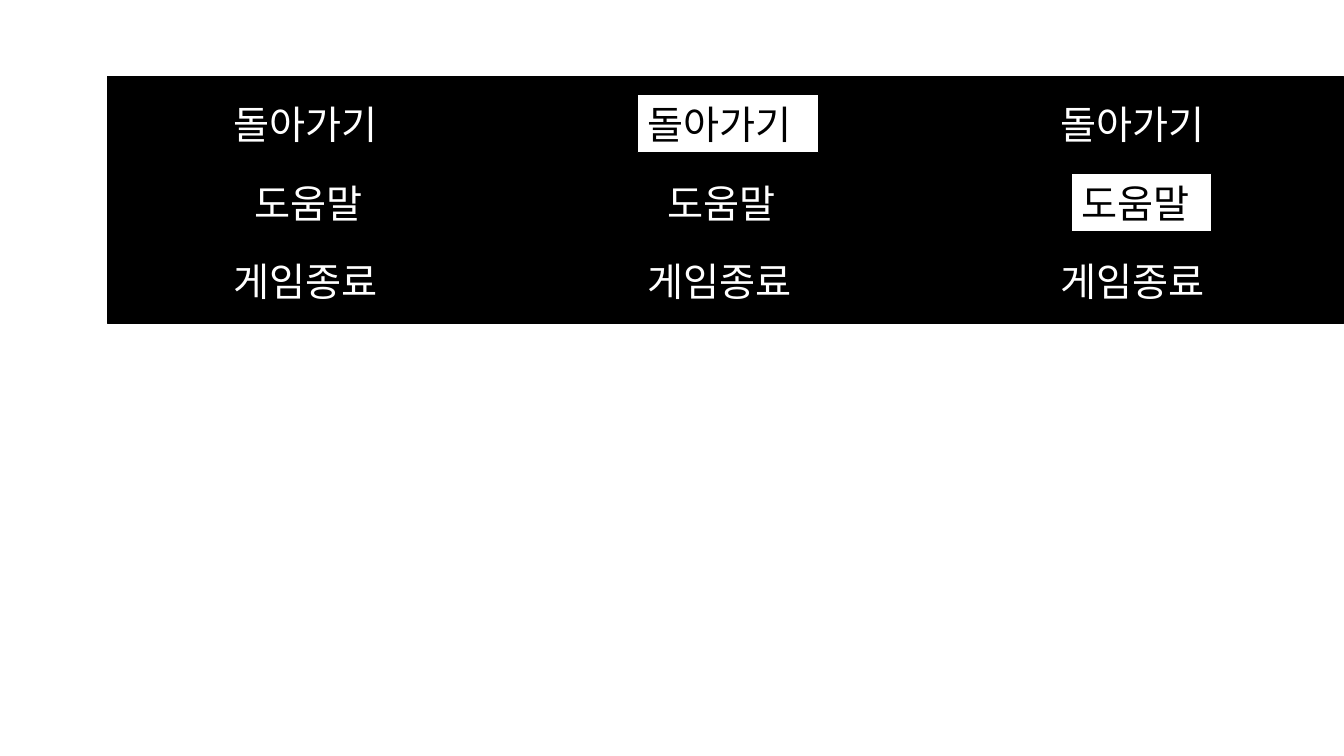
from lxml.etree import SubElement
from pptx import Presentation
from pptx.dml.color import RGBColor
from pptx.enum.shapes import MSO_SHAPE
from pptx.enum.text import MSO_ANCHOR, PP_ALIGN
from pptx.oxml.ns import qn
from pptx.util import Pt

FONT = "Noto Sans CJK KR"
BLACK, WHITE = "000000", "FFFFFF"
PANEL_LEFT, PANEL_TOP, PANEL_PITCH = 77, 54.7, 294.2
PANEL_WIDTH, PANEL_HEIGHT = 294.5, 176.4
BUTTON_CENTER, BUTTON_PITCH = 224.5, 295.5
BUTTON_TOP, ROW_PITCH, BUTTON_HEIGHT = 67.8, 56.2, 41.2
MENU = [("돌아가기", 129.6), ("도움말", 100), ("게임종료", 129.6)]
SELECTED_ROWS = [None, 0, 1]


def paint(color_format, color):
    """Set a fill or font colour from a hex string."""
    color_format.rgb = RGBColor.from_string(color)


def add_rectangle(page, left, top, width, height, fill, line_width):
    """Add a black-outlined rectangle, unfilled when fill is None."""
    box = page.shapes.add_shape(
        MSO_SHAPE.RECTANGLE, Pt(left), Pt(top), Pt(width), Pt(height))
    box.shadow.inherit = False
    if fill:
        box.fill.solid()
        paint(box.fill.fore_color, fill)
    else:
        box.fill.background()
    paint(box.line.color, BLACK)
    box.line.width = Pt(line_width)
    return box


def add_label(box, text, color):
    """Write a left-aligned menu label into a box."""
    frame = box.text_frame
    frame.word_wrap = True
    frame.vertical_anchor = MSO_ANCHOR.MIDDLE
    para = frame.paragraphs[0]
    para.alignment = PP_ALIGN.LEFT
    span = para.add_run()
    span.text = text
    span.font.size = Pt(28)
    span.font.name = FONT
    paint(span.font.color, color)
    SubElement(span.font._element, qn("a:ea"), typeface=FONT)


def add_menu(page, column, selected_row):
    """Add the buttons of one menu, highlighting the selected one."""
    center = BUTTON_CENTER + column * BUTTON_PITCH
    for row, (text, width) in enumerate(MENU):
        selected = row == selected_row
        top = BUTTON_TOP + row * ROW_PITCH
        button = add_rectangle(page, center - width / 2, top, width,
                               BUTTON_HEIGHT, WHITE if selected else None, 0.75)
        add_label(button, text, BLACK if selected else WHITE)


def main():
    """Build the slide of three menu states."""
    deck = Presentation()
    deck.slide_width, deck.slide_height = Pt(960), Pt(540)
    page = deck.slides.add_slide(deck.slide_layouts[6])
    for column, selected_row in enumerate(SELECTED_ROWS):
        add_rectangle(page, PANEL_LEFT + column * PANEL_PITCH, PANEL_TOP,
                      PANEL_WIDTH, PANEL_HEIGHT, BLACK, 1)
        add_menu(page, column, selected_row)
    deck.save("out.pptx")


main()
